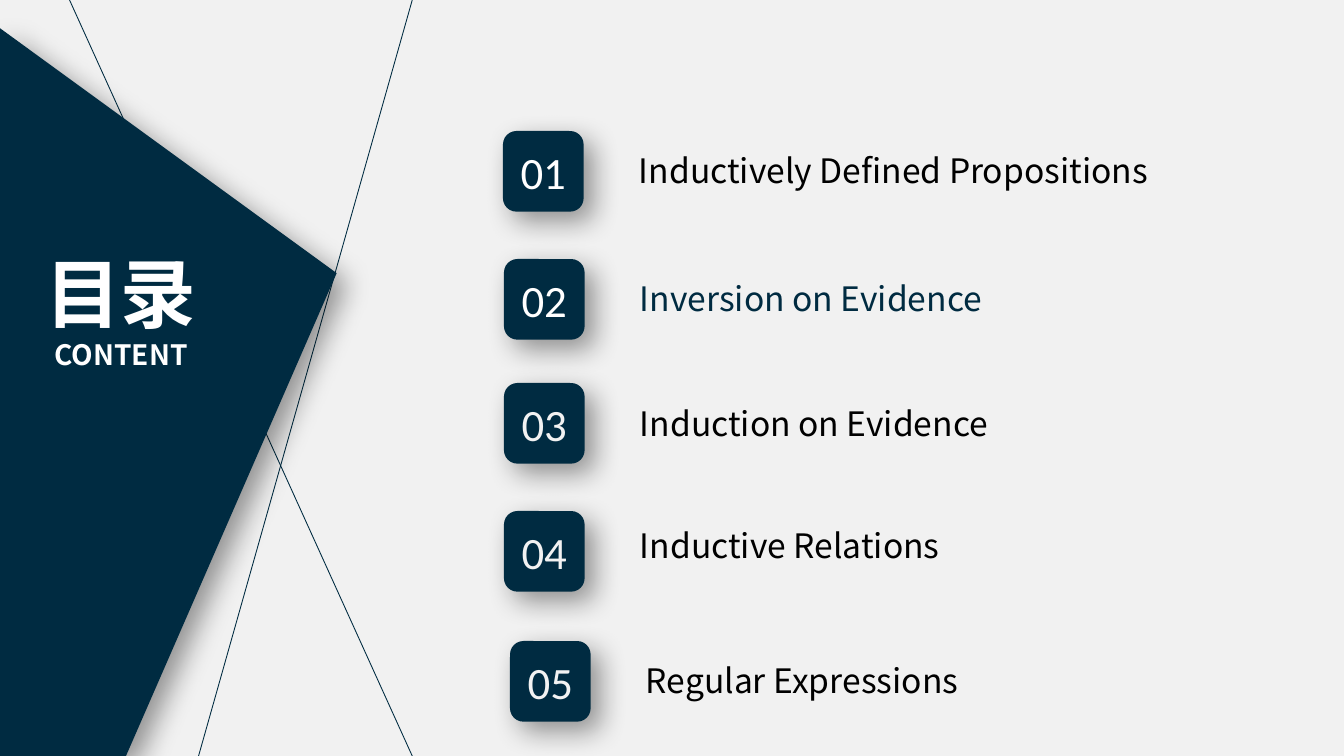
from dataclasses import dataclass

from lxml.etree import SubElement
from pptx import Presentation
from pptx.dml.color import RGBColor
from pptx.enum.shapes import MSO_CONNECTOR as Connector, MSO_SHAPE as Shape
from pptx.enum.text import MSO_ANCHOR as Anchor, MSO_AUTO_SIZE as AutoSize, PP_ALIGN as Align
from pptx.oxml.ns import qn
from pptx.util import Inches, Pt

NAVY = RGBColor(0x00, 0x2B, 0x41)
PAPER = RGBColor(0xF1, 0xF1, 0xF1)
SOFT_WHITE = RGBColor(0xF2, 0xF2, 0xF2)
WHITE = RGBColor(0xFF, 0xFF, 0xFF)
BLACK = RGBColor(0x00, 0x00, 0x00)

HEADING_FONT = "Noto Sans CJK SC"
NUMBER_FONT = "Calibri"

# The grid has square cells, ten to the inch
CELL = Inches(0.1)
COLUMNS, ROWS = 133.33, 75
BADGE_SIZE = 8
LABEL_COLUMN_GAP = 12.5
LABEL_HEIGHT = 5


@dataclass(frozen=True)
class Chapter:
    name: str
    column: float
    row: float
    label_row: float
    label_width: float
    number_color: RGBColor = SOFT_WHITE
    label_color: RGBColor = BLACK


@dataclass(frozen=True)
class Ray:
    top_column: float
    bottom_column: float


CHAPTERS = [
    Chapter("Inductively Defined Propositions", 49.9, 13, 14.4, 55.7, WHITE),
    Chapter("Inversion on Evidence", 50, 25.7, 27.1, 44.2, WHITE, NAVY),
    Chapter("Induction on Evidence", 50, 38, 39.5, 44.3),
    Chapter("Inductive Relations", 50, 50.7, 51.6, 42.3),
    Chapter("Regular Expressions", 50.6, 63.6, 65, 43.9),
]
RAYS = [Ray(40.9, 19.7), Ray(6.9, 40.9)]
PANEL_CORNERS = [(0, 2.8), (33.4, 27.1), (12.5, ROWS), (0, ROWS)]


def cells(*counts: float) -> list[int]:
    return [round(count * CELL) for count in counts]


def write(paragraph, text: str, *, size: float, color: RGBColor, font: str = HEADING_FONT,
          bold: bool = False, align: Align = Align.LEFT) -> None:
    paragraph.alignment = align
    paragraph.line_spacing = 1.0
    paragraph.space_before = Pt(0)
    run = paragraph.add_run()
    run.text = text
    run.font.size, run.font.bold, run.font.name = Pt(size), bold, font
    run.font.color.rgb = color
    SubElement(run.font._element, qn("a:ea"), typeface=font)


def paint_raised(shape) -> None:
    """Navy fill without outline, with a soft shadow to the lower right."""
    shape.fill.solid()
    shape.fill.fore_color.rgb = NAVY
    shape.line.fill.background()
    shape.shadow.inherit = False
    effects = shape._element.spPr.find(qn("a:effectLst"))
    shadow = SubElement(effects, qn("a:outerShdw"), blurRad=str(Pt(20)), dist=str(Pt(10)),
                        dir=str(45 * 60000), algn="tl", rotWithShape="0")
    tone = SubElement(shadow, qn("a:srgbClr"), val=str(BLACK))
    SubElement(tone, qn("a:alpha"), val="40000")


def draw_ray(slide, ray: Ray) -> None:
    line = slide.shapes.add_connector(
        Connector.STRAIGHT, *cells(ray.top_column, 0, ray.bottom_column, ROWS))
    line.line.color.rgb = NAVY
    line.line.width = Pt(0.63)
    SubElement(line._element.spPr, qn("a:effectLst"))


def draw_panel(slide) -> None:
    first, *others = [cells(*corner) for corner in PANEL_CORNERS]
    outline = slide.shapes.build_freeform(*first)
    outline.add_line_segments(others, close=True)
    paint_raised(outline.convert_to_shape())


def place_title(slide) -> None:
    title = slide.shapes.title
    title.left, title.top, title.width, title.height = cells(2.4, 24, 19.2, 13.5)
    slide.shapes._spTree.append(title._element)  # in front of the panel
    frame = title.text_frame
    frame.word_wrap = True
    frame.auto_size = AutoSize.SHAPE_TO_FIT_TEXT
    frame.vertical_anchor = Anchor.TOP
    write(frame.paragraphs[0], "目录", size=54, color=WHITE, bold=True, align=Align.CENTER)
    write(frame.add_paragraph(), "CONTENT", size=20, color=WHITE, bold=True, align=Align.CENTER)


def draw_chapter(slide, number: int, chapter: Chapter) -> None:
    badge = slide.shapes.add_shape(
        Shape.ROUNDED_RECTANGLE, *cells(chapter.column, chapter.row, BADGE_SIZE, BADGE_SIZE))
    paint_raised(badge)
    badge.text_frame.vertical_anchor = Anchor.MIDDLE
    write(badge.text_frame.paragraphs[0], f"{number:02}", size=32, font=NUMBER_FONT,
          color=chapter.number_color, align=Align.CENTER)

    label = slide.shapes.add_textbox(*cells(
        chapter.column + LABEL_COLUMN_GAP, chapter.label_row, chapter.label_width, LABEL_HEIGHT))
    label.text_frame.word_wrap = True
    label.text_frame.auto_size = AutoSize.SHAPE_TO_FIT_TEXT
    write(label.text_frame.paragraphs[0], chapter.name, size=24, color=chapter.label_color)


def main() -> None:
    deck = Presentation()
    deck.slide_width, deck.slide_height = cells(COLUMNS, ROWS)
    slide = deck.slides.add_slide(deck.slide_layouts[5])
    slide.background.fill.solid()
    slide.background.fill.fore_color.rgb = PAPER

    # Left side: rays behind the navy panel, with the title on it
    for ray in RAYS:
        draw_ray(slide, ray)
    draw_panel(slide)
    place_title(slide)

    # Right side: numbered chapters
    for number, chapter in enumerate(CHAPTERS, start=1):
        draw_chapter(slide, number, chapter)

    deck.save("out.pptx")


if __name__ == "__main__":
    main()
